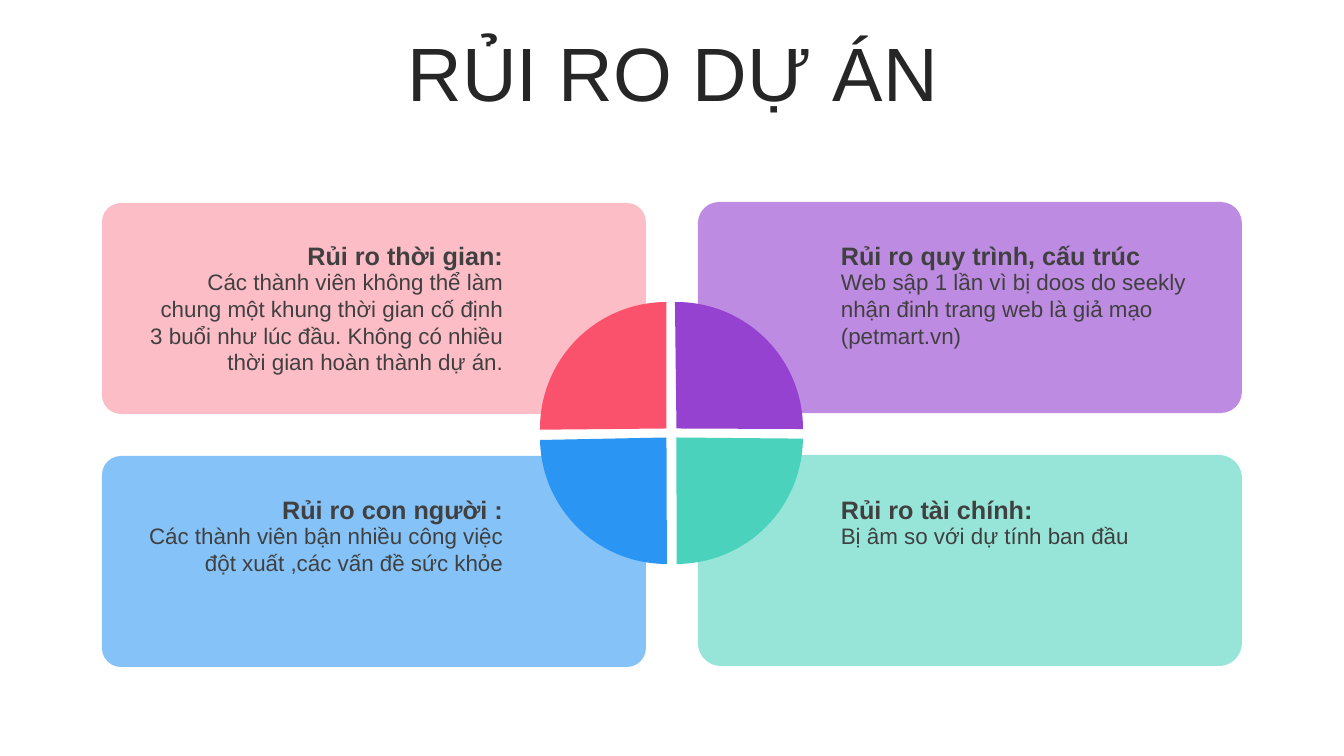
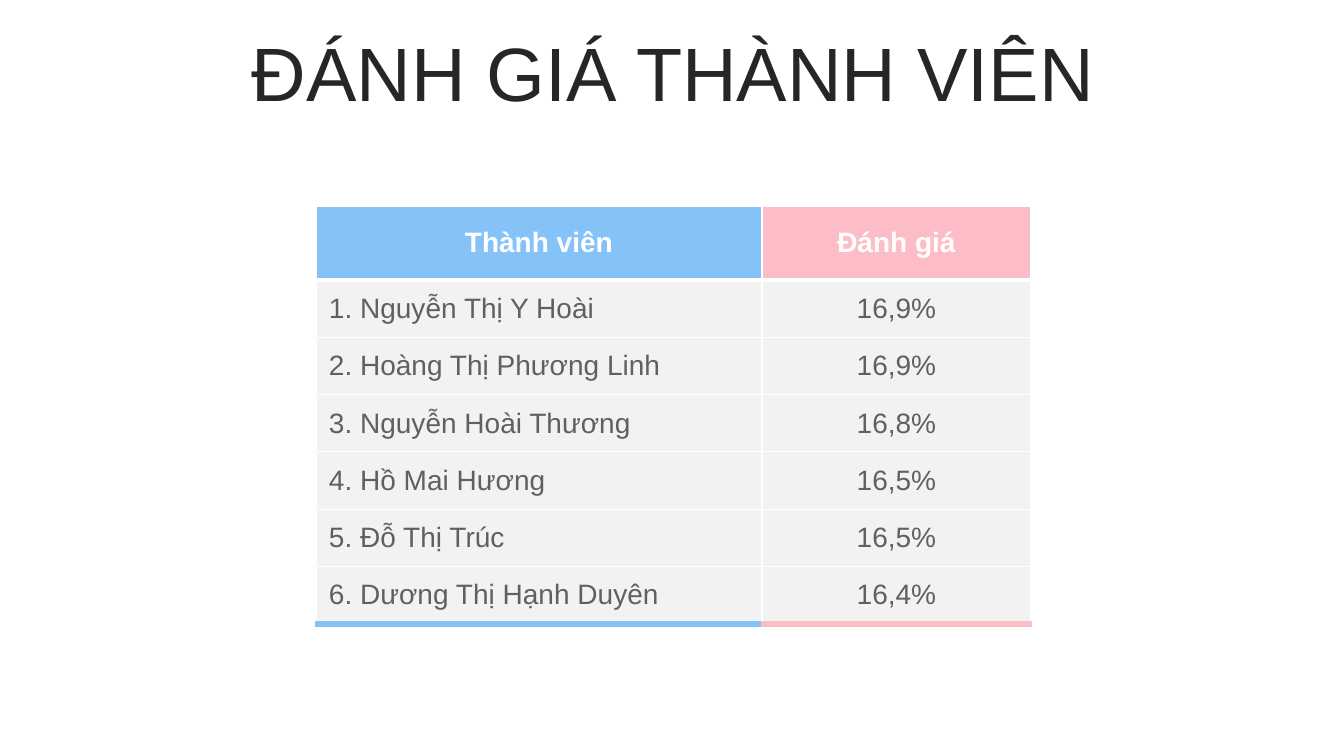
"""Build two slides: project risks and member evaluation."""
from dataclasses import dataclass

from lxml import etree
from pptx import Presentation
from pptx import util as u
from pptx.dml.color import RGBColor
from pptx.enum import shapes, text
from pptx.oxml import ns

SLIDE_W, SLIDE_H = 1344, 756
EMU_PER_PX = 12192000 / SLIDE_W
FONT = "Arial"

WHITE = RGBColor(0xFF, 0xFF, 0xFF)
TITLE_INK = RGBColor(0x26, 0x26, 0x26)
BODY_INK = RGBColor(0x40, 0x40, 0x40)
TABLE_INK = RGBColor(0x60, 0x60, 0x60)
ROW_GREY = RGBColor(0xF2, 0xF2, 0xF2)
PALE_BLUE = RGBColor(0x85, 0xC2, 0xF8)
PALE_PINK = RGBColor(0xFD, 0xBD, 0xC7)
PALE_TEAL = RGBColor(0x96, 0xE5, 0xD8)
PALE_PURPLE = RGBColor(0xBE, 0x8B, 0xE2)
BLUE = RGBColor(0x2B, 0x95, 0xF3)
PINK = RGBColor(0xFA, 0x52, 0x6C)
TEAL = RGBColor(0x4A, 0xD2, 0xBC)
PURPLE = RGBColor(0x95, 0x42, 0xD0)

LEFT, CENTER, RIGHT = text.PP_ALIGN.LEFT, text.PP_ALIGN.CENTER, text.PP_ALIGN.RIGHT
TOP, MIDDLE = text.MSO_ANCHOR.TOP, text.MSO_ANCHOR.MIDDLE

CARD_W, CARD_H, CARD_PITCH = 544, 211, 253
PIE_SIZE = 253
TEXT_W, LINE_H = 379, 27
ADJUSTMENT_PER_DEGREE = 0.6

TABLE_X, TABLE_Y = 316, 206
NAME_W, SCORE_W = 446, 269
HEADER_H, MEMBERS_H = 74, 344


@dataclass(frozen=True)
class TextStyle:
    size: int
    color: RGBColor
    bold: bool = False


@dataclass(frozen=True)
class Side:
    card_x: int
    card_y: int
    pie_x: int
    text_x: int
    align: text.PP_ALIGN


@dataclass(frozen=True)
class Risk:
    side: Side
    row: int
    heading: str
    detail: str
    lines: int
    pale: RGBColor
    strong: RGBColor
    corner: float
    start: float
    end: float


@dataclass(frozen=True)
class Member:
    name: str
    score: str


TITLE = TextStyle(54, TITLE_INK)
RISK_HEADING = TextStyle(18, BODY_INK, True)
RISK_DETAIL = TextStyle(16, BODY_INK)
TABLE_HEADER = TextStyle(20, WHITE, True)
TABLE_BODY = TextStyle(20, TABLE_INK)

LEFT_SIDE = Side(102, 203, 540, 134, RIGHT)
RIGHT_SIDE = Side(698, 202, 550, 831, LEFT)

RISKS = (
    Risk(LEFT_SIDE, 1, "Rủi ro con người :",
         "Các thành viên bận nhiều công việc đột xuất ,các vấn đề sức khỏe",
         2, PALE_BLUE, BLUE, 0.09, 89.8, 178.86),
    Risk(LEFT_SIDE, 0, "Rủi ro thời gian:",
         "Các thành viên không thể làm chung một khung thời gian cố định "
         "3 buổi như lúc đầu. Không có nhiều thời gian hoàn thành dự án.",
         4, PALE_PINK, PINK, 0.09, 179.45, 270),
    Risk(RIGHT_SIDE, 1, "Rủi ro tài chính:", "Bị âm so với dự tính ban đầu",
         1, PALE_TEAL, TEAL, 0.11, 0.53, 89.96),
    Risk(RIGHT_SIDE, 0, "Rủi ro quy trình, cấu trúc",
         "Web sập 1 lần vì bị doos do seekly nhận đinh trang web là giả mạo (petmart.vn)",
         3, PALE_PURPLE, PURPLE, 0.1, 269.31, 0.25),
)

MEMBERS = (
    Member("1. Nguyễn Thị Y Hoài", "16,9%"),
    Member("2. Hoàng Thị Phương Linh", "16,9%"),
    Member("3. Nguyễn Hoài Thương", "16,8%"),
    Member("4. Hồ Mai Hương", "16,5%"),
    Member("5. Đỗ Thị Trúc", "16,5%"),
    Member("6. Dương Thị Hạnh Duyên", "16,4%"),
)


def px(length: int) -> u.Emu:
    return u.Emu(round(length * EMU_PER_PX))


def write(paragraph, words: str, style: TextStyle, align: text.PP_ALIGN) -> None:
    paragraph.alignment = align
    run = paragraph.add_run()
    run.text = words
    run.font.name = FONT
    run.font.size = u.Pt(style.size)
    run.font.bold = style.bold
    run.font.color.rgb = style.color


def add_text(canvas, x: int, y: int, w: int, h: int, words: str, style: TextStyle,
             align: text.PP_ALIGN, anchor: text.MSO_ANCHOR, grow: bool = True):
    frame = canvas.add_textbox(px(x), px(y), px(w), px(h)).text_frame
    frame.word_wrap = True
    frame.vertical_anchor = anchor
    if grow:
        frame.auto_size = text.MSO_AUTO_SIZE.SHAPE_TO_FIT_TEXT
    paragraph = frame.paragraphs[0]
    write(paragraph, words, style, align)
    return paragraph


def add_filled(canvas, kind: shapes.MSO_SHAPE, x: int, y: int, w: int, h: int,
               color: RGBColor, adjustments: tuple[float, ...]) -> None:
    shape = canvas.add_shape(kind, px(x), px(y), px(w), px(h))
    shape.shadow.inherit = False
    shape.fill.solid()
    shape.fill.fore_color.rgb = color
    shape.line.fill.background()
    for index, value in enumerate(adjustments):
        shape.adjustments[index] = value


def add_titled_slide(deck, title: str):
    slide = deck.slides.add_slide(deck.slide_layouts[6])
    paragraph = add_text(slide.shapes, 35, 37, 1276, 80, title, TITLE, CENTER, MIDDLE, False)
    paragraph.line_spacing = 0.9
    return slide


def add_card(canvas, risk: Risk) -> None:
    add_filled(canvas, shapes.MSO_SHAPE.ROUNDED_RECTANGLE, risk.side.card_x,
               risk.side.card_y + risk.row * CARD_PITCH, CARD_W, CARD_H,
               risk.pale, (risk.corner,))


def add_quarter(canvas, risk: Risk) -> None:
    angles = (risk.start * ADJUSTMENT_PER_DEGREE, risk.end * ADJUSTMENT_PER_DEGREE)
    add_filled(canvas, shapes.MSO_SHAPE.PIE, risk.side.pie_x, 302 + risk.row * 9,
               PIE_SIZE, PIE_SIZE, risk.strong, angles)


def add_risk_text(canvas, risk: Risk) -> None:
    x, y = risk.side.text_x, 235 + risk.row * 254
    add_text(canvas, x, y, TEXT_W, 40, risk.heading, RISK_HEADING, risk.side.align, MIDDLE)
    add_text(canvas, x, y + 28, TEXT_W, 10 + risk.lines * LINE_H,
             risk.detail, RISK_DETAIL, risk.side.align, TOP)


def add_border(cell, edge: str, color: RGBColor, points: float) -> None:
    line = etree.SubElement(cell._tc.get_or_add_tcPr(), ns.qn(f"a:ln{edge}"),
                            w=str(u.Pt(points)))
    fill = etree.SubElement(line, ns.qn("a:solidFill"))
    etree.SubElement(fill, ns.qn("a:srgbClr"), val=str(color))


def fill_cell(cell, words: str, style: TextStyle, align: text.PP_ALIGN, fill: RGBColor,
              top: float, bottom: float, bottom_color: RGBColor) -> None:
    for edge, color, points in (("L", WHITE, 1), ("R", WHITE, 1),
                                ("T", WHITE, top), ("B", bottom_color, bottom)):
        add_border(cell, edge, color, points)
    cell.fill.solid()
    cell.fill.fore_color.rgb = fill
    cell.vertical_anchor = MIDDLE
    cell.margin_left = cell.margin_right = px(13)
    cell.margin_top = cell.margin_bottom = px(6)
    write(cell.text_frame.paragraphs[0], words, style, align)


def build_risks(deck) -> None:
    slide = add_titled_slide(deck, "RỦI RO DỰ ÁN")
    for draw in (add_card, add_quarter):
        group = slide.shapes.add_group_shape()
        for risk in RISKS:
            draw(group.shapes, risk)
    for risk in RISKS:
        add_risk_text(slide.shapes.add_group_shape().shapes, risk)


def build_evaluation(deck) -> None:
    slide = add_titled_slide(deck, "ĐÁNH GIÁ THÀNH VIÊN")
    last = len(MEMBERS)
    table = slide.shapes.add_table(last + 1, 2, px(TABLE_X), px(TABLE_Y),
                                   px(NAME_W + SCORE_W), px(HEADER_H + MEMBERS_H)).table
    table.horz_banding = False
    table.rows[0].height = px(HEADER_H)
    for index in range(1, last + 1):
        table.rows[index].height = px(MEMBERS_H) // last
    columns = (
        (NAME_W, "Thành viên", PALE_BLUE, LEFT, [member.name for member in MEMBERS]),
        (SCORE_W, "Đánh giá", PALE_PINK, CENTER, [member.score for member in MEMBERS]),
    )
    for col, (width, header, accent, align, entries) in enumerate(columns):
        table.columns[col].width = px(width)
        fill_cell(table.cell(0, col), header, TABLE_HEADER, CENTER, accent, 1, 3, WHITE)
        for row, entry in enumerate(entries, 1):
            top = 3 if row == 1 else 1
            bottom, color = (4.5, accent) if row == last else (1, WHITE)
            fill_cell(table.cell(row, col), entry, TABLE_BODY, align, ROW_GREY,
                      top, bottom, color)


def main() -> None:
    deck = Presentation()
    deck.slide_width, deck.slide_height = px(SLIDE_W), px(SLIDE_H)
    build_risks(deck)
    build_evaluation(deck)
    deck.save("out.pptx")


if __name__ == "__main__":
    main()
